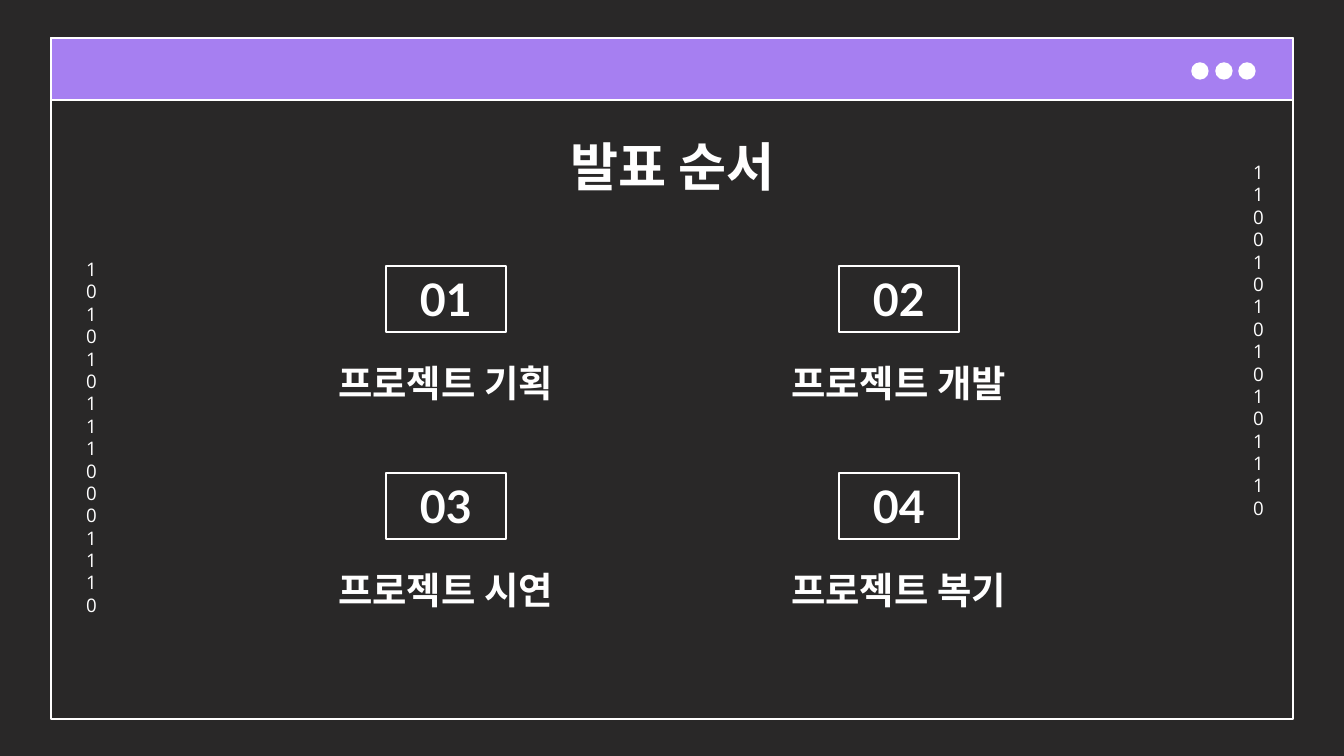
import pptx
import pptx.util
import pptx.dml.color
import pptx.enum.shapes
import pptx.enum.text

WHITE = pptx.dml.color.RGBColor(0xFF, 0xFF, 0xFF)
PURPLE = pptx.dml.color.RGBColor(0xA6, 0x7F, 0xF1)
CHARCOAL = pptx.dml.color.RGBColor(0x29, 0x28, 0x28)

RECTANGLE = pptx.enum.shapes.MSO_SHAPE.RECTANGLE
OVAL = pptx.enum.shapes.MSO_SHAPE.OVAL
TOP = pptx.enum.text.MSO_ANCHOR.TOP
MIDDLE = pptx.enum.text.MSO_ANCHOR.MIDDLE

EMU_PER_PX = 914400 / 134.4
INSET = 13

ROWS = [
    (266, 75, [("01", "프로젝트 기획"), ("02", "프로젝트 개발")]),
    (473, 85, [("03", "프로젝트 시연"), ("04", "프로젝트 복기")]),
]
COLUMN_CENTERS = [446, 899]


def px(length):
    return pptx.util.Emu(round(length * EMU_PER_PX))


def add_outlined(page, kind, left, top, width, height, fill=None):
    shape = page.shapes.add_shape(kind, px(left), px(top), px(width), px(height))
    shape.shadow.inherit = False
    if fill is None:
        shape.fill.background()
    else:
        shape.fill.solid()
        shape.fill.fore_color.rgb = fill
    shape.line.color.rgb = WHITE
    shape.line.width = pptx.util.Pt(0.75)
    return shape


def write(shape, lines, font, size, bold=True, anchor=TOP, spacing=None):
    frame = shape.text_frame
    frame.word_wrap = True
    frame.vertical_anchor = anchor
    frame.margin_left = frame.margin_right = px(INSET)
    frame.margin_top = frame.margin_bottom = px(INSET)
    for index, line in enumerate(lines):
        para = frame.add_paragraph() if index else frame.paragraphs[0]
        para.alignment = pptx.enum.text.PP_ALIGN.CENTER
        if spacing:
            para.line_spacing = pptx.util.Pt(spacing)
        span = para.add_run()
        span.text = line
        span.font.name = font
        span.font.size = pptx.util.Pt(size)
        span.font.bold = bold
        span.font.color.rgb = WHITE


def add_text(page, left, top, width, height, lines, font, size, **style):
    box = page.shapes.add_textbox(px(left), px(top), px(width), px(height))
    write(box, lines, font, size, **style)


def add_window(page):
    add_outlined(page, RECTANGLE, 51, 38, 1242, 681)
    add_outlined(page, RECTANGLE, 51, 38, 1242, 62, PURPLE)
    for left in (1192, 1216, 1239):
        add_outlined(page, OVAL, left, 63, 16, 16, WHITE)


def add_digit_column(page, left, top, lines):
    add_text(page, left, top, 32, 376, lines, "Open Sans", 10,
             bold=False, spacing=12)


def add_topic(page, center, top, caption_height, number, caption):
    badge = add_outlined(page, RECTANGLE, center - 60, top, 120, 66)
    write(badge, [number], "Lato", 24, anchor=MIDDLE)
    add_text(page, center - 188, top + 81, 375, caption_height,
             [caption], "Roboto", 20)


def main():
    deck = pptx.Presentation()
    deck.slide_width = px(1344)
    deck.slide_height = px(756)
    page = deck.slides.add_slide(deck.slide_layouts[6])
    page.background.fill.solid()
    page.background.fill.fore_color.rgb = CHARCOAL

    add_window(page)
    add_digit_column(page, 1240, 148, ["1100101010101110"])
    add_digit_column(page, 73, 245, ["101010111000111", "0"])
    add_text(page, 106, 121, 1133, 85, ["발표 순서"], "Roboto", 28)
    for top, caption_height, topics in ROWS:
        for center, (number, caption) in zip(COLUMN_CENTERS, topics):
            add_topic(page, center, top, caption_height, number, caption)

    deck.save("out.pptx")


if __name__ == "__main__":
    main()
